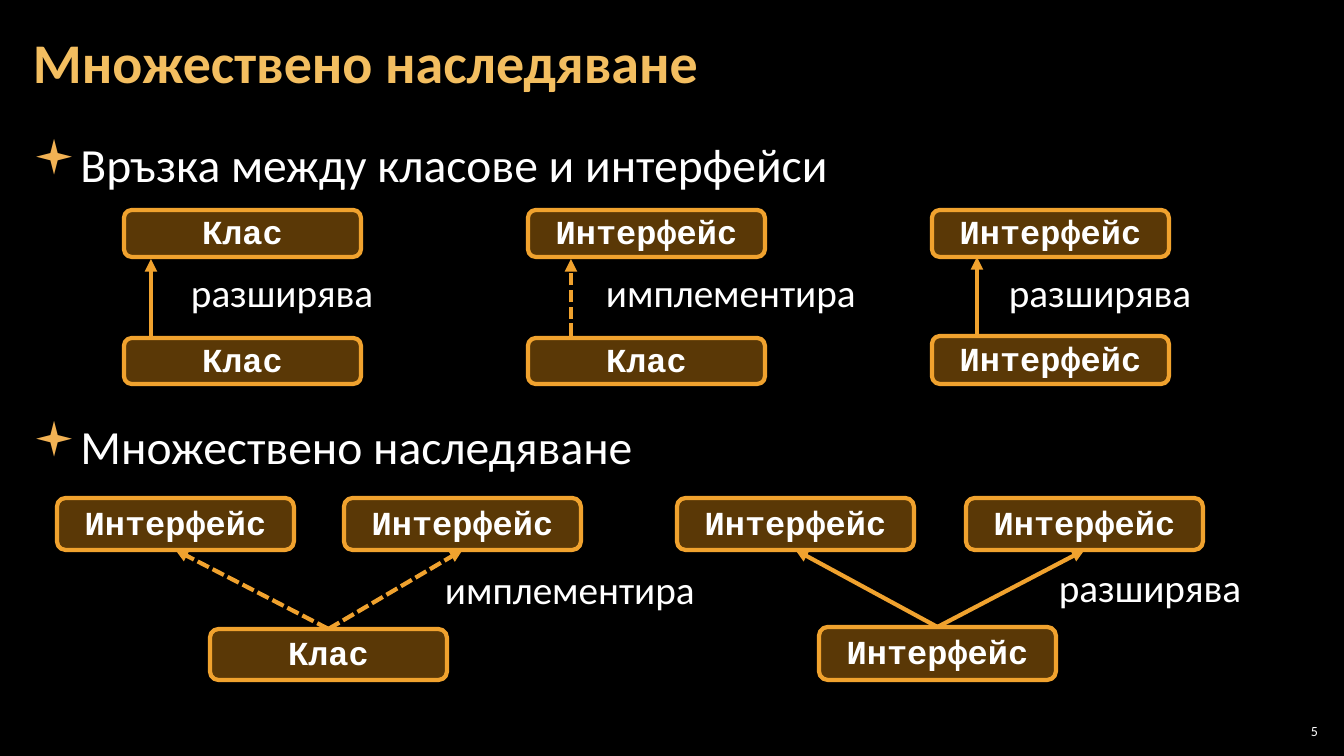
from lxml import etree
from pptx import Presentation
from pptx.dml.color import RGBColor
from pptx.enum.dml import MSO_LINE
from pptx.enum.shapes import MSO_CONNECTOR, MSO_SHAPE
from pptx.enum.text import MSO_ANCHOR, PP_ALIGN
from pptx.oxml.ns import qn
from pptx.util import Emu, Pt

EMU_PER_PX = 914400 / 100.8
TOP, BOTTOM = 0, 2


def px(length):
    return Emu(round(length * EMU_PER_PX))


def colour(hex_string):
    return RGBColor.from_string(hex_string)


class DiagramSlide:
    SANS, MONO = "Calibri", "Courier New"
    WHITE, GOLD, BULLET = "FFFFFF", "F3BE60", "F2B254"
    LINE, FILL, FILL_ALPHA = "F0A22E", "C87D0E", 45000
    BOX_WIDTH = 237

    def __init__(self, prs):
        self.slide = prs.slides.add_slide(prs.slide_layouts[6])
        background = self.slide.background.fill
        background.solid()
        background.fore_color.rgb = colour("000000")

    def style(self, paragraph, size, font, hex_string, bold=False):
        paragraph.font.size = Pt(size)
        paragraph.font.name = font
        paragraph.font.bold = bold
        paragraph.font.color.rgb = colour(hex_string)

    def text(self, text, x, y, width, height, size, hex_string=WHITE, bold=False,
             wrap=True, anchor=MSO_ANCHOR.TOP, inset=(12, 4)):
        frame = self.slide.shapes.add_textbox(px(x), px(y), px(width), px(height)).text_frame
        frame.word_wrap = wrap
        frame.vertical_anchor = anchor
        frame.margin_left = frame.margin_right = px(inset[0])
        frame.margin_top = frame.margin_bottom = px(inset[1])
        paragraph = frame.paragraphs[0]
        paragraph.text = text
        self.style(paragraph, size, self.SANS, hex_string, bold)
        return paragraph

    def bullet(self, text, y):
        paragraph = self.text("", 21, y, 1301, 70, 34)
        props = paragraph._p.get_or_add_pPr()
        for old in list(props):
            props.remove(old)
        props.set("marL", str(px(33)))
        props.set("indent", str(-px(33)))
        mark_colour = etree.SubElement(props, qn("a:buClr"))
        etree.SubElement(mark_colour, qn("a:srgbClr"), val=self.BULLET)
        etree.SubElement(props, qn("a:buFont"), typeface="Wingdings")
        etree.SubElement(props, qn("a:buChar"), char="▪")
        paragraph.text = text
        paragraph.line_spacing = 1.05
        self.style(paragraph, 34, self.SANS, self.WHITE)

    def label(self, text, x, y, width):
        self.text(text, x, y, width, 57, 28, wrap=False, inset=(10, 5))

    def box(self, text, x, y, height):
        box = self.slide.shapes.add_shape(
            MSO_SHAPE.ROUNDED_RECTANGLE, px(x), px(y), px(self.BOX_WIDTH), px(height))
        box.shadow.inherit = False
        box.fill.solid()
        box.fill.fore_color.rgb = colour(self.FILL)
        fill_colour = box._element.spPr.find(qn("a:solidFill"))[0]
        etree.SubElement(fill_colour, qn("a:alpha"), val=str(self.FILL_ALPHA))
        box.line.color.rgb = colour(self.LINE)
        box.line.width = Pt(3)
        frame = box.text_frame
        frame.word_wrap = False
        frame.vertical_anchor = MSO_ANCHOR.MIDDLE
        paragraph = frame.paragraphs[0]
        paragraph.text = text
        paragraph.alignment = PP_ALIGN.CENTER
        paragraph.line_spacing = 0.95
        self.style(paragraph, 24, self.MONO, self.WHITE, bold=True)
        return box

    def arrow(self, x1, y1, x2, y2, dashed=False):
        arrow = self.slide.shapes.add_connector(
            MSO_CONNECTOR.STRAIGHT, px(x1), px(y1), px(x2), px(y2))
        arrow.line.color.rgb = colour(self.LINE)
        arrow.line.width = Pt(3)
        if dashed:
            arrow.line.dash_style = MSO_LINE.SQUARE_DOT
        etree.SubElement(arrow.line._get_or_add_ln(), qn("a:tailEnd"), type="triangle")
        etree.SubElement(arrow._element.spPr, qn("a:effectLst"))
        return arrow

    def join(self, child, parent, dashed):
        arrow = self.arrow(0, 0, 1, 1, dashed)
        arrow.begin_connect(child, TOP)
        arrow.end_connect(parent, BOTTOM)


def main():
    prs = Presentation()
    prs.slide_width, prs.slide_height = px(1344), px(756)
    page = DiagramSlide(prs)
    class_name, interface_name = "Клас", "Интерфейс"
    extends, implements = "разширява", "имплементира"
    label_widths = {extends: 205, implements: 272}

    # Title and bullets
    title = page.text("Множествено наследяване", 21, 4, 1301, 122, 40, page.GOLD,
                      bold=True, anchor=MSO_ANCHOR.MIDDLE)
    title.line_spacing = 0.9
    page.bullet("Връзка между класове и интерфейси", 128)
    page.bullet("Множествено наследяване", 410)

    # Single relations: parent, child, child top, arrow x, arrow tip, relation, label x
    relations = [
        (class_name, class_name, 338, 151, 259, extends, 181),
        (interface_name, class_name, 338, 571, 259, implements, 596),
        (interface_name, interface_name, 336, 977, 257, extends, 999),
    ]
    for column, relation in enumerate(relations):
        parent, child, child_top, arrow_x, tip, verb, label_x = relation
        x = 124 + 404 * column
        page.box(parent, x, 210, 47)
        page.box(child, x, child_top, 384 - child_top)
        page.arrow(arrow_x, tip + 77, arrow_x, tip, dashed=verb == implements)
        page.label(verb, label_x, 263, label_widths[verb])

    # Multiple inheritance: parent xs, child, child x, child top, relation, label place
    trees = [
        ((57, 344), class_name, 210, 629, implements, (435, 560)),
        ((677, 966), interface_name, 819, 627, extends, (1049, 558)),
    ]
    for parent_xs, child, child_x, child_top, verb, label_place in trees:
        heir = page.box(child, child_x, child_top, 680 - child_top)
        for parent_x in parent_xs:
            parent = page.box(interface_name, parent_x, 498, 52)
            page.join(heir, parent, dashed=verb == implements)
        page.label(verb, *label_place, label_widths[verb])

    # Page number
    number = page.text("5", 1275, 720, 47, 21, 10, anchor=MSO_ANCHOR.MIDDLE, inset=(4, 4))
    number.alignment = PP_ALIGN.RIGHT

    prs.save("out.pptx")


if __name__ == "__main__":
    main()
